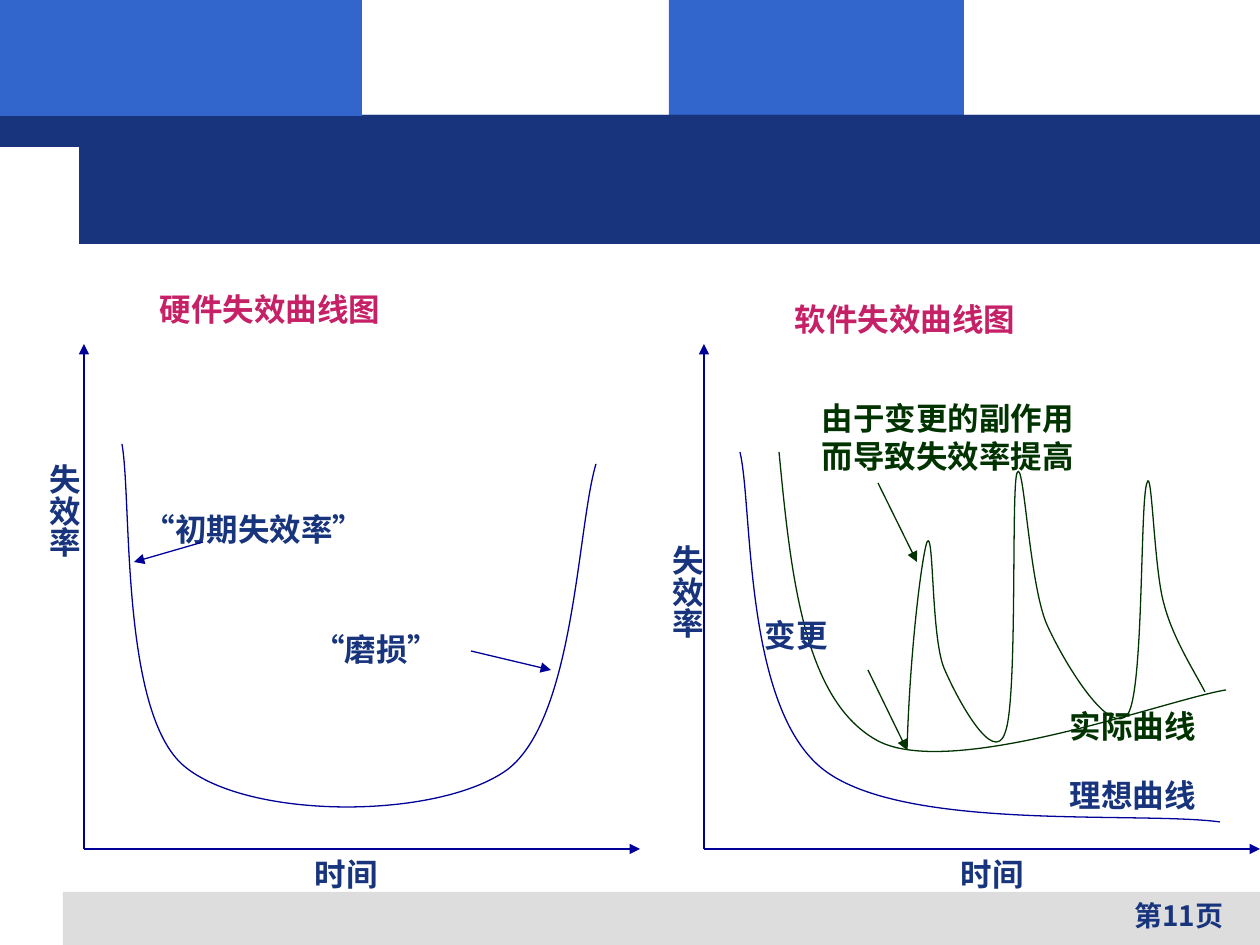
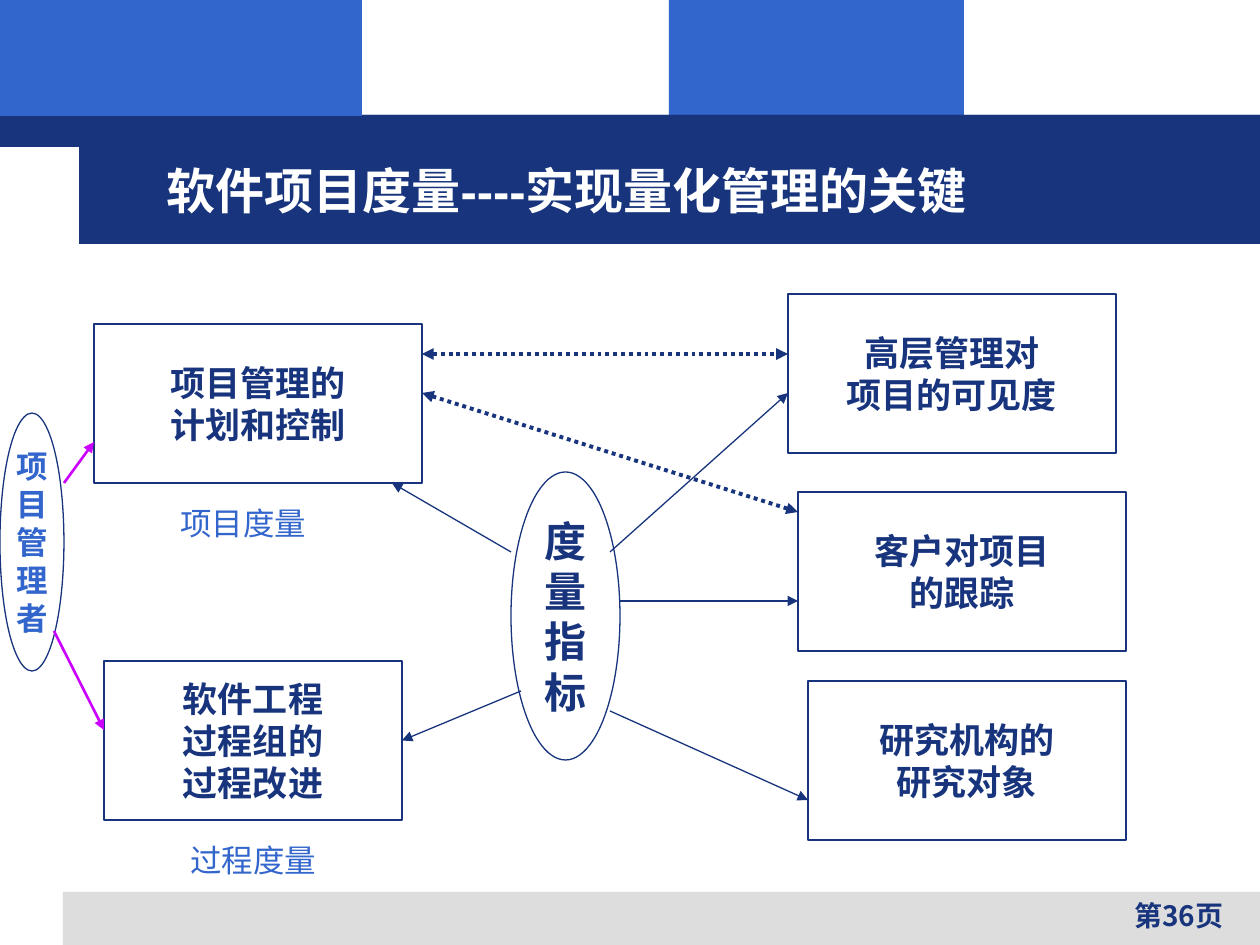
from dataclasses import dataclass

from lxml import etree
from pptx import Presentation
from pptx import util as u
from pptx.dml.color import RGBColor
from pptx.enum import dml, shapes, text
from pptx.oxml import ns

PX = 914400 / 126  # EMU in one px
WIDTH, HEIGHT = 1260, 945
RIGHT = 3  # connection site on a rectangle


@dataclass(frozen=True)
class Theme:
    blue: str = "3366CC"
    navy: str = "17347D"
    ink: str = "000099"
    green: str = "003300"
    magenta: str = "CC00FF"
    crimson: str = "C62067"
    grey: str = "DDDDDD"
    white: str = "FFFFFF"
    latin: str = "Arial"
    asian: str = "Noto Sans CJK SC"
    title_size: int = 28
    hub_size: int = 24
    node_size: int = 20
    label_size: int = 18
    footer_size: int = 16
    leading: float = 1.2
    thin: float = 0.75
    medium: float = 1.5
    thick: float = 2.25


THEME = Theme()


def emu(*lengths):
    return [u.Emu(round(length * PX)) for length in lengths]


def rgb(colour):
    return RGBColor.from_string(colour)


def write(box, content, *, size=THEME.label_size, colour=THEME.navy, bold=True,
          font=THEME.latin, align=text.PP_ALIGN.LEFT,
          anchor=text.MSO_ANCHOR.TOP, wrap=True, vertical=False):
    """Fill a box with one paragraph for each line of content."""
    frame = box.text_frame
    frame.word_wrap = wrap
    frame.vertical_anchor = anchor
    insets = (6, 7, 8, 7) if vertical else (13, 6, 13, 6)
    (frame.margin_left, frame.margin_top,
     frame.margin_right, frame.margin_bottom) = emu(*insets)
    if vertical:
        frame._txBody.bodyPr.set("vert", "eaVert")
    for index, line in enumerate(content.split("\n")):
        para = frame.add_paragraph() if index else frame.paragraphs[0]
        para.alignment = align
        para.line_spacing = u.Pt(size * THEME.leading)
        span = para.add_run()
        span.text = line
        span.font.name = font
        span.font.size = u.Pt(size)
        span.font.bold = bold
        span.font.color.rgb = rgb(colour)
        properties = span.font._element
        properties.set("lang", "zh-CN")
        east = etree.Element(ns.qn("a:ea"), typeface=THEME.asian)
        properties.find(ns.qn("a:latin")).addnext(east)


def add_label(slide, place, content, **style):
    box = slide.shapes.add_textbox(*emu(*place))
    write(box, content, **style)


def add_box(slide, place, *, fill=THEME.white, line=None,
            kind=shapes.MSO_SHAPE.RECTANGLE):
    box = slide.shapes.add_shape(kind, *emu(*place))
    box.shadow.inherit = False
    box.fill.solid()
    box.fill.fore_color.rgb = rgb(fill)
    if line:
        box.line.color.rgb = rgb(line)
        box.line.width = u.Pt(THEME.thin)
    else:
        box.line.fill.background()
    return box


def add_node(slide, place, content, *, size=THEME.node_size, colour=THEME.navy,
             bold=True, line=THEME.navy, kind=shapes.MSO_SHAPE.RECTANGLE):
    box = add_box(slide, place, line=line, kind=kind)
    write(box, content, size=size, colour=colour, bold=bold, wrap=False,
          align=text.PP_ALIGN.CENTER, anchor=text.MSO_ANCHOR.MIDDLE)
    return box


def add_arrow(slide, start, end, *, colour=THEME.navy, width=THEME.thin,
              dotted_both_ways=False):
    arrow = slide.shapes.add_connector(
        shapes.MSO_CONNECTOR.STRAIGHT, *emu(*start, *end))
    arrow.line.color.rgb = rgb(colour)
    arrow.line.width = u.Pt(width)
    tips = ["tailEnd"]
    if dotted_both_ways:
        arrow.line.dash_style = dml.MSO_LINE.ROUND_DOT
        tips.insert(0, "headEnd")
    outline = arrow.line._get_or_add_ln()
    for tip in tips:
        etree.SubElement(outline, ns.qn(f"a:{tip}"), type="triangle")
    etree.SubElement(arrow._element.spPr, ns.qn("a:effectLst"))
    return arrow


def add_curve(slide, points, colour):
    """Draw cubic curves through a start point and then threes of points."""
    start, *controls = points
    builder = slide.shapes.build_freeform(*start, scale=PX)
    builder.add_line_segments(controls, close=False)
    curve = builder.convert_to_shape()
    curve.shadow.inherit = False
    curve.fill.background()
    curve.line.color.rgb = rgb(colour)
    curve.line.width = u.Pt(THEME.thin)
    segments = list(curve._element.iter(ns.qn("a:lnTo")))
    for first in range(0, len(segments), 3):
        trio = segments[first:first + 3]
        bezier = etree.Element(ns.qn("a:cubicBezTo"))
        trio[0].addprevious(bezier)
        for segment in trio:
            bezier.append(segment[0])
            segment.getparent().remove(segment)


def add_axes(slide, left):
    origin = (left, 849)
    add_arrow(slide, origin, (left + 556, 849), colour=THEME.ink)
    add_arrow(slide, origin, (left, 344), colour=THEME.ink)


def new_slide(deck, number):
    """Add a slide with the shared bands and page number."""
    slide = deck.slides.add_slide(deck.slide_layouts[6])
    for place, fill in (
        ((669, 0, 295, 116), THEME.blue),
        ((63, 892, 1197, 53), THEME.grey),
        ((0, 115, 1260, 32), THEME.navy),
        ((79, 115, 1181, 129), THEME.navy),
        ((0, 0, 362, 116), THEME.blue),
    ):
        add_box(slide, place, fill=fill)
    add_label(slide, (799, 893, 437, 52), f"第{number}页",
              size=THEME.footer_size, font=THEME.asian,
              align=text.PP_ALIGN.RIGHT)
    return slide


def build_failure_curves(deck):
    slide = new_slide(deck, 11)

    add_axes(slide, 84)
    add_curve(slide, [
        (122, 444), (132, 498), (120, 712), (184, 766),
        (248, 820), (437, 820), (507, 770),
        (575, 719), (577, 528), (596, 464)], THEME.ink)
    add_label(slide, (28, 457, 63, 202), "失效率", vertical=True)
    add_label(slide, (302, 849, 139, 50), "时间")
    add_label(slide, (131, 504, 340, 50), "“初期失效率”")
    add_arrow(slide, (203, 542), (134, 562), colour=THEME.ink)
    add_label(slide, (300, 624, 246, 50), "“磨损”")
    add_arrow(slide, (471, 651), (551, 670), colour=THEME.ink)

    add_axes(slide, 704)
    add_label(slide, (948, 849, 139, 50), "时间")
    add_label(slide, (651, 538, 63, 159), "失效率", vertical=True)
    ideal = [(740, 452), (753, 505), (743, 708), (824, 770),
             (905, 832), (1138, 811), (1220, 822)]
    actual = [(779, 452), (791, 577), (804, 701), (878, 741),
              (953, 780), (1169, 699), (1226, 690)]
    change_spikes = [
        (907, 750), (910, 648), (922, 556), (927, 542),
        (934, 528), (931, 636), (944, 668),
        (958, 701), (994, 766), (1005, 733),
        (1018, 702), (1011, 490), (1017, 473),
        (1024, 455), (1029, 588), (1048, 627),
        (1067, 668), (1111, 738), (1128, 714),
        (1144, 689), (1140, 500), (1147, 483),
        (1152, 464), (1154, 570), (1164, 604),
        (1173, 639), (1196, 674), (1205, 692)]
    add_curve(slide, ideal, THEME.ink)
    add_curve(slide, actual, THEME.green)
    add_curve(slide, change_spikes, THEME.green)
    add_label(slide, (752, 610, 183, 50), "变更")
    add_arrow(slide, (868, 670), (907, 750), colour=THEME.green)
    add_label(slide, (1057, 770, 203, 50), "理想曲线")
    add_label(slide, (1057, 701, 203, 50), "实际曲线", colour=THEME.green)
    add_label(slide, (809, 393, 287, 88), "由于变更的副作用而导致失效率提高",
              colour=THEME.green)
    add_arrow(slide, (878, 483), (917, 562), colour=THEME.green)

    add_label(slide, (147, 284, 340, 50), "硬件失效曲线图",
              colour=THEME.crimson)
    add_label(slide, (782, 294, 340, 50), "软件失效曲线图",
              colour=THEME.crimson)


def build_metrics_map(deck):
    slide = new_slide(deck, 36)
    add_label(slide, (154, 155, 953, 72), "软件项目度量----实现量化管理的关键",
              size=THEME.title_size, colour=THEME.white)

    oval = shapes.MSO_SHAPE.OVAL
    add_node(slide, (511, 472, 109, 288), "度\n量\n指\n标",
             size=THEME.hub_size, kind=oval)
    add_node(slide, (94, 324, 328, 159), "项目管理的\n计划和控制")
    process = add_node(slide, (104, 661, 298, 159),
                       "软件工程\n过程组的\n过程改进")
    add_node(slide, (788, 294, 328, 159), "高层管理对\n项目的可见度")
    add_node(slide, (798, 492, 328, 159), "客户对项目\n的跟踪")
    add_node(slide, (808, 681, 318, 159), "研究机构的\n研究对象")

    for start, end in (
        ((610, 552), (788, 393)),
        ((620, 601), (798, 601)),
        ((610, 711), (808, 800)),
        ((511, 552), (392, 483)),
    ):
        add_arrow(slide, start, end)
    to_process = add_arrow(slide, (521, 691), (402, 740))
    to_process.end_connect(process, RIGHT)
    for start, end in (((422, 354), (788, 354)), ((422, 393), (798, 512))):
        add_arrow(slide, start, end, width=THEME.thick, dotted_both_ways=True)

    add_node(slide, (0, 413, 64, 258), "项\n目\n管\n理\n者",
             size=THEME.label_size, colour=THEME.blue, kind=oval)
    for start, end in (((64, 483), (94, 442)), ((54, 631), (104, 730))):
        add_arrow(slide, start, end, colour=THEME.magenta, width=THEME.medium)
    for place, caption in (((144, 493, 199, 59), "项目度量"),
                           ((154, 830, 199, 59), "过程度量")):
        add_node(slide, place, caption, size=THEME.label_size,
                 colour=THEME.blue, bold=False, line=None)


def main():
    deck = Presentation()
    deck.slide_width, deck.slide_height = emu(WIDTH, HEIGHT)
    build_failure_curves(deck)
    build_metrics_map(deck)
    deck.save("out.pptx")


if __name__ == "__main__":
    main()
